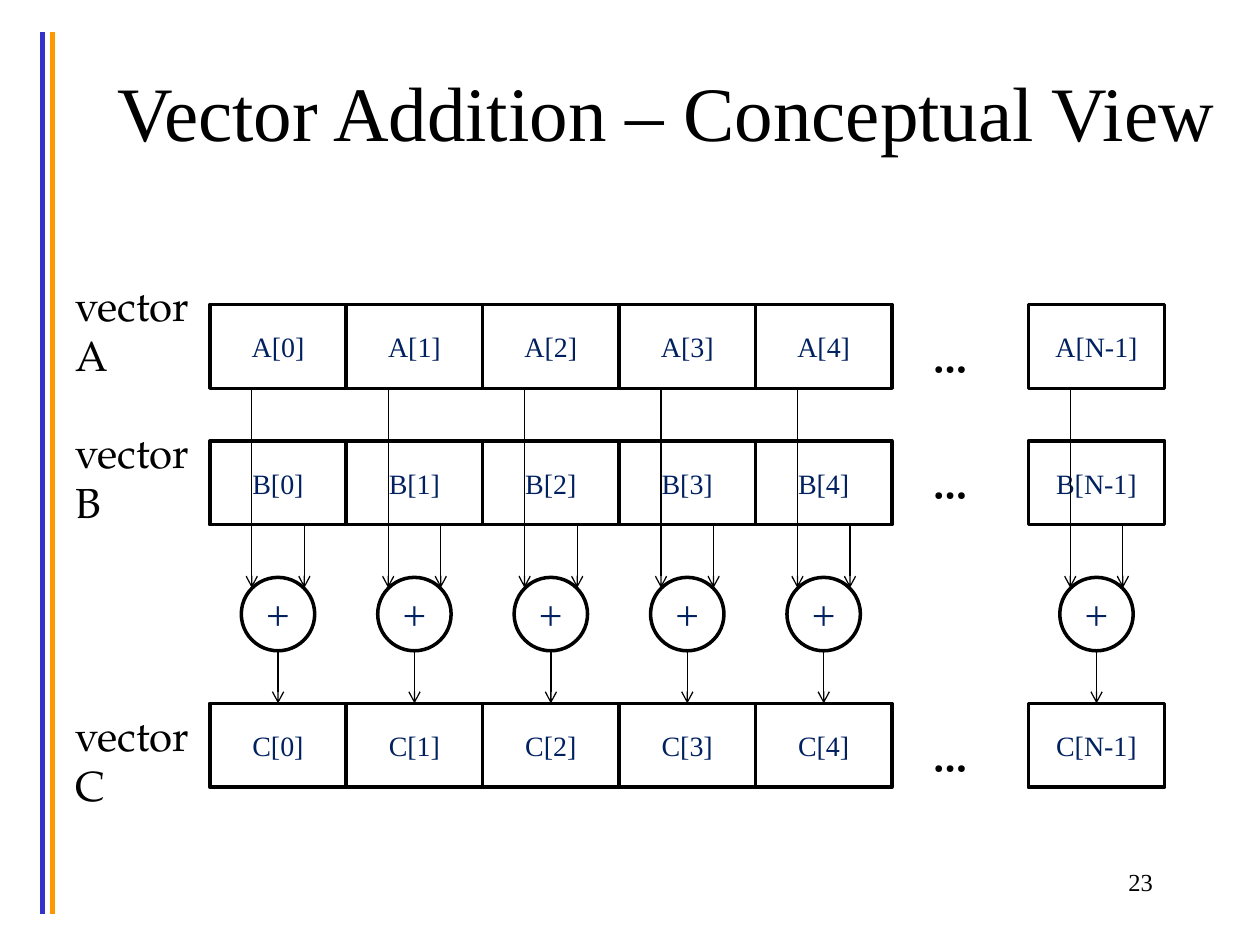
from dataclasses import dataclass

from lxml import etree
from pptx import Presentation
from pptx.dml.color import RGBColor
from pptx.enum.shapes import MSO_CONNECTOR, MSO_SHAPE
from pptx.enum.text import MSO_ANCHOR, MSO_AUTO_SIZE, PP_ALIGN
from pptx.oxml.ns import qn
from pptx.util import Cm, Pt

BLACK = RGBColor(0x00, 0x00, 0x00)
WHITE = RGBColor(0xFF, 0xFF, 0xFF)
NAVY = RGBColor(0x00, 0x20, 0x60)
BLUE = RGBColor(0x33, 0x33, 0xCC)
ORANGE = RGBColor(0xFF, 0x99, 0x00)

STRAIGHT = MSO_CONNECTOR.STRAIGHT
RECTANGLE, OVAL = MSO_SHAPE.RECTANGLE, MSO_SHAPE.OVAL
MIDDLE, TOP = MSO_ANCHOR.MIDDLE, MSO_ANCHOR.TOP
LEFT, CENTER, RIGHT = PP_ALIGN.LEFT, PP_ALIGN.CENTER, PP_ALIGN.RIGHT
GROW = MSO_AUTO_SIZE.SHAPE_TO_FIT_TEXT

SERIF = "Times New Roman"
LABEL_FONT = "TeX Gyre Pagella"

# Slot of each element along the row; slot 5 holds the ellipsis.
ELEMENTS = {0: "0", 1: "1", 2: "2", 3: "3", 4: "4", 6: "N-1"}
CELL_WIDTH, CELL_HEIGHT = 2.75, 1.69
ADDER_SIZE = 1.48


@dataclass
class Box:
    """A region of the page, in centimetres."""
    left: float
    top: float
    width: float
    height: float

    def lengths(self):
        return [Cm(value) for value in (self.left, self.top, self.width, self.height)]


def write(shape, text, size, font=SERIF, color=BLACK, align=LEFT, anchor=TOP, bold=False):
    frame = shape.text_frame
    frame.text = text
    frame.vertical_anchor = anchor
    para = frame.paragraphs[0]
    para.alignment = align
    for span in para.runs:
        span.font.name = font
        span.font.size = Pt(size)
        span.font.bold = bold
        span.font.color.rgb = color


def add_text(page, box, text, size, wrap=True, **style):
    shape = page.shapes.add_textbox(*box.lengths())
    write(shape, text, size, **style)
    shape.text_frame.word_wrap = wrap
    return shape


def add_node(page, kind, box, text, size):
    """Add a white outlined shape with centred navy text."""
    shape = page.shapes.add_shape(kind, *box.lengths())
    shape.shadow.inherit = False
    shape.fill.solid()
    shape.fill.fore_color.rgb = WHITE
    shape.line.color.rgb = BLACK
    shape.line.width = Pt(2)
    write(shape, text, size, color=NAVY, align=CENTER, anchor=MIDDLE)
    return shape


def add_line(page, start, end, color, width):
    line = page.shapes.add_connector(STRAIGHT, *(Cm(value) for value in (*start, *end)))
    line.line.color.rgb = color
    line.line.width = Pt(width)
    etree.SubElement(line._element.spPr, qn("a:effectLst"))
    return line


def add_arrow(page, start, end):
    arrow = add_line(page, start, end, BLACK, 0.75)
    etree.SubElement(arrow.line._get_or_add_ln(), qn("a:tailEnd"), type="arrow")
    return arrow


def add_rails(page, box):
    """Draw the two coloured lines at the sides of the box."""
    bottom = box.top + box.height
    for x, color in ((box.left, BLUE), (box.left + box.width, ORANGE)):
        add_line(page, (x, box.top), (x, bottom), color, 3)


def add_title(page, box, text):
    title = page.shapes.title
    title.left, title.top, title.width, title.height = box.lengths()
    write(title, text, 44, align=CENTER, anchor=MIDDLE)


def add_vector(page, box, name, label_shift, dots_shift):
    """Add a labelled row of cells and return the cells by slot."""
    label_box = Box(box.left - 2.96, box.top + label_shift, 3.38, 2.29)
    label = add_text(page, label_box, f"vector {name}", 24, font=LABEL_FONT)
    label.text_frame.auto_size = GROW
    dots_box = Box(box.left + 14.31, box.top + dots_shift, 1.35, 1.27)
    add_text(page, dots_box, "…", 24, wrap=False, font=LABEL_FONT, bold=True)
    cells = {}
    for slot, index in ELEMENTS.items():
        cell_box = Box(box.left + slot * CELL_WIDTH, box.top, CELL_WIDTH, box.height)
        cells[slot] = add_node(page, RECTANGLE, cell_box, f"{name}[{index}]", 16)
    return cells


def add_adder(page, box, first_bottom, second_bottom, result_cell):
    """Add a plus circle fed by two cells above and leading to the result cell."""
    add_node(page, OVAL, box, "+", 24)
    inset = 0.21
    input_end = box.top + inset
    first_x, second_x = box.left + inset, box.left + box.width - inset
    add_arrow(page, (first_x, first_bottom), (first_x, input_end))
    add_arrow(page, (second_x, second_bottom), (second_x, input_end))
    center, bottom = box.left + box.width / 2, box.top + box.height
    output = add_arrow(page, (center, bottom), (center, bottom + 1.06))
    output.end_connect(result_cell, 0)


def add_vector_sum(page, box):
    """Add vectors A, B and C with one adder for each element."""
    first, second, result = (
        Box(box.left, box.top + drop, box.width, CELL_HEIGHT) for drop in (0, 2.75, 8.04))
    add_vector(page, first, "A", -0.63, 0.42)
    add_vector(page, second, "B", -0.42, 0.21)
    result_cells = add_vector(page, result, "C", 0, 0.42)
    margin = (CELL_WIDTH - ADDER_SIZE) / 2
    for slot, cell in result_cells.items():
        adder_box = Box(box.left + slot * CELL_WIDTH + margin, box.top + 5.5,
                        ADDER_SIZE, ADDER_SIZE)
        add_adder(page, adder_box, first.top + CELL_HEIGHT, second.top + CELL_HEIGHT, cell)


def main():
    deck = Presentation()
    deck.slide_width, deck.slide_height = Cm(25.4), Cm(19.05)
    page = deck.slides.add_slide(deck.slide_layouts[5])
    add_rails(page, Box(0.85, 0.64, 0.21, 17.78))
    add_title(page, Box(1.9, 0.64, 23.07, 3.18), "Vector Addition – Conceptual View")
    add_vector_sum(page, Box(4.23, 6.14, 19.25, 9.73))
    add_text(page, Box(18.2, 17.36, 5.29, 1.27), "23", 14, align=RIGHT)
    deck.save("out.pptx")


if __name__ == "__main__":
    main()
